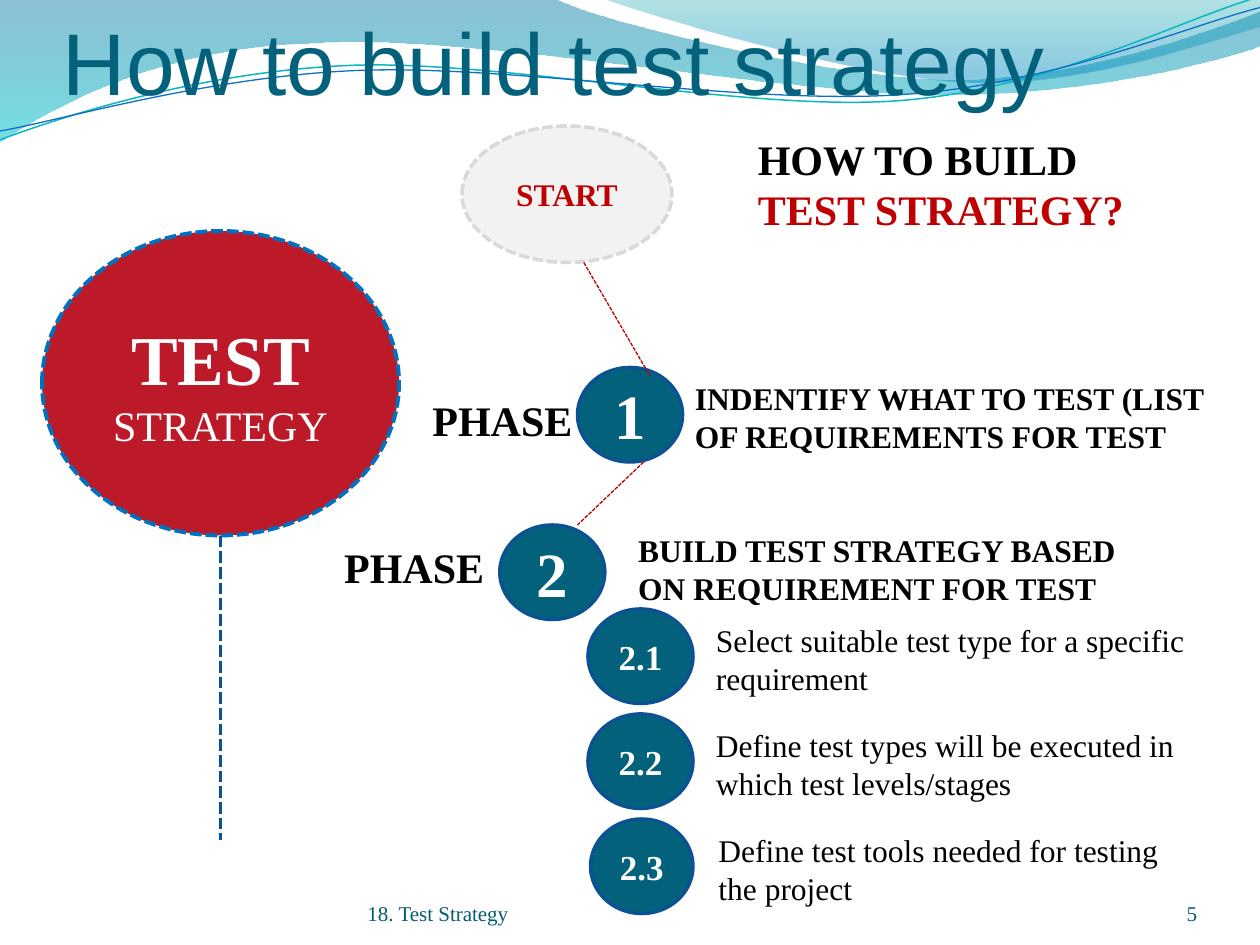
from pptx import Presentation
from pptx.dml.color import RGBColor
from pptx.enum.dml import MSO_LINE
from pptx.enum.shapes import MSO_CONNECTOR, MSO_SHAPE
from pptx.enum.text import MSO_ANCHOR, PP_ALIGN
from pptx.oxml.ns import qn
from pptx.util import Inches, Pt
from lxml import etree

DASH = MSO_LINE.SQUARE_DOT
OVAL = MSO_SHAPE.OVAL
STRAIGHT = MSO_CONNECTOR.STRAIGHT
TOP, MIDDLE, BOTTOM = MSO_ANCHOR.TOP, MSO_ANCHOR.MIDDLE, MSO_ANCHOR.BOTTOM
LEFT, CENTER, RIGHT = PP_ALIGN.LEFT, PP_ALIGN.CENTER, PP_ALIGN.RIGHT

COLUMNS, ROWS = 120, 90
CELL = Inches(1) / 12
BODY_FONT, TITLE_FONT = "Times New Roman", "Arial"
COLORS = {
    "teal": "04617B", "footer": "045D75", "navy": "0B5292", "stem": "095295",
    "red": "C00000", "crimson": "BC1A29", "blue": "0070C0", "black": "000000",
    "white": "FFFFFF", "pale": "F2F2F2", "silver": "D9D9D9",
    "wave_blue": "0074A1", "wave_cyan": "00C6CF", "wave_green": "00A1A9",
    "wave_sky": "008BBF", "thread_cyan": "0AB8BF", "thread_blue": "0F6FC6",
}
BROAD_WAVE = [
    [(0, 0)], [(4.4, -0.01)],
    [(4.76, 0.17), (6.64, 0.63), (7.58, 0.63)],
    [(8.53, 0.63), (9.58, 0.26), (10, 0.09)], [(10.01, 0.36)],
    [(9.83, 0.44), (8.7, 0.76), (7.46, 0.75)],
    [(6.22, 0.75), (3.82, 0.28), (2.57, 0.34)],
    [(1.29, 0.36), (0.46, 0.83), (-0.01, 1.13)], [(0, 0)],
]
RIGHT_WAVE = [
    [(4.79, -0.01)],
    [(5.09, 0.11), (6.82, 0.62), (7.69, 0.65)],
    [(8.56, 0.69), (9.61, 0.32), (10, 0.21)], [(10, 0)], [(4.79, -0.01)],
]
CYAN_THREAD = [
    [(0, 1.11)],
    [(0.48, 0.93), (1.58, 0.57), (2.77, 0.52)],
    [(3.95, 0.47), (5.93, 0.89), (7.13, 0.8)],
    [(8.33, 0.71), (9.38, 0.15), (9.98, -0.02)],
]
BLUE_THREAD = [
    [(0, 1.04)],
    [(0.47, 0.96), (1.64, 0.61), (2.83, 0.56)],
    [(4.03, 0.51), (5.97, 0.84), (7.17, 0.75)],
    [(8.36, 0.67), (9.41, 0.21), (10, 0.06)],
]
STEPS = [
    ("2.1", "Select suitable test type for a specific requirement", 0, 49),
    ("2.2", "Define test types will be executed in which test levels/stages", 0, 48.8),
    ("2.3", "Define test tools needed for testing the project", 0.25, 48),
]


def cells(*counts):
    """Turn grid counts into slide lengths."""
    return [round(count * CELL) for count in counts]


def rgb(name):
    """Look up a palette colour."""
    return RGBColor.from_string(COLORS[name])


def set_opacity(color_element, percent):
    """Give a colour element an opacity."""
    etree.SubElement(color_element, qn("a:alpha")).set("val", str(percent * 1000))


def style_line(line, color, width, dash=None):
    """Set the colour, width and dash of a line."""
    line.color.rgb = rgb(color)
    line.width = Pt(width)
    if dash is not None:
        line.dash_style = dash


def write(shape, runs, align=LEFT, anchor=TOP, font=BODY_FONT):
    """Fill a shape with one paragraph of (text, size, colour, bold) runs."""
    frame = shape.text_frame
    frame.word_wrap = True
    frame.vertical_anchor = anchor
    paragraph = frame.paragraphs[0]
    paragraph.alignment = align
    for text, size, color, bold in runs:
        run = paragraph.add_run()
        run.text = text
        run.font.name = font
        run.font.size = Pt(size)
        run.font.bold = bold
        run.font.color.rgb = rgb(color)


def add_label(slide, box, runs, margins=None, **layout):
    """Place a text box, with optional margins in inches."""
    shape = slide.shapes.add_textbox(*cells(*box))
    frame = shape.text_frame
    if margins:
        (frame.margin_left, frame.margin_top,
         frame.margin_right, frame.margin_bottom) = map(Inches, margins)
    write(shape, runs, **layout)


def add_oval(slide, box, runs, fill="teal", line=("navy", 2)):
    """Place an ellipse with centred text."""
    shape = slide.shapes.add_shape(OVAL, *cells(*box))
    shape.shadow.inherit = False
    shape.fill.solid()
    shape.fill.fore_color.rgb = rgb(fill)
    style_line(shape.line, *line)
    write(shape, runs, CENTER, MIDDLE)
    return shape


def add_dashes(slide, start, end, color="red", width=0.75):
    """Draw a dashed straight connector."""
    connector = slide.shapes.add_connector(STRAIGHT, *cells(*start, *end))
    style_line(connector.line, color, width, DASH)
    etree.SubElement(connector._element.spPr, qn("a:effectLst"))


def add_curve(slide, box, segments, closed):
    """Build a curve from tenths of the box width and shares of its height."""
    left, top, width, height = box
    points = [cells(left + x * width / 10, top + y * height)
              for segment in segments for x, y in segment]
    builder = slide.shapes.build_freeform(*points[0])
    builder.add_line_segments(points[1:], close=closed)
    shape = builder.convert_to_shape()
    shape.shadow.inherit = False
    outline = next(shape._element.iter(qn("a:path")))
    moves = iter(outline.findall(qn("a:lnTo")))
    for segment in segments[1:]:
        group = [next(moves) for _ in segment]
        if len(group) == 3:
            curve = etree.Element(qn("a:cubicBezTo"))
            group[0].addprevious(curve)
            for move in group:
                curve.append(move[0])
                outline.remove(move)
    return shape


def add_waves(slide, box):
    """Draw the translucent waves and the thin threads of the header."""
    for segments, stops in (
        (BROAD_WAVE, (("wave_blue", 0, 45), ("wave_cyan", 1, 55))),
        (RIGHT_WAVE, (("wave_green", 0, 30), ("wave_sky", 0.8, 45))),
    ):
        shape = add_curve(slide, box, segments, True)
        shape.line.fill.background()
        shape.fill.gradient()
        shape.fill.gradient_angle = 270
        for stop, (color, position, opacity) in zip(shape.fill.gradient_stops, stops):
            stop.color.rgb = rgb(color)
            stop.position = position
            set_opacity(stop._gs.find(qn("a:srgbClr")), opacity)
    for segments, color, width in ((CYAN_THREAD, "thread_cyan", 0.85),
                                   (BLUE_THREAD, "thread_blue", 0.75)):
        shape = add_curve(slide, box, segments, False)
        shape.fill.background()
        style_line(shape.line, color, width)


def add_footer(slide, box):
    """Place the chapter name and the page number."""
    left, top, width, height = box
    for text, offset, span, align in (("18. Test Strategy", 0, 44, LEFT),
                                      ("5", width - 10, 10, RIGHT)):
        add_label(slide, (left + offset, top, span, height),
                  [(text, 12, "footer", False)], (0, 0, 0, 0), align=align, anchor=BOTTOM)


def add_topic(slide, box):
    """Place the large topic circle with its dashed stem."""
    left, top, width, height = box
    add_oval(slide, box, [("TEST", 40, "white", True), (" ", 18, "white", False),
                          ("STRATEGY", 24, "white", False)],
             "crimson", ("blue", 2.25, DASH))
    middle, bottom = left + width / 2, top + height
    add_dashes(slide, (middle, bottom), (middle, bottom + height), "stem", 2.25)


def add_phase(slide, box, number, text, label_offset, text_box):
    """Place a numbered phase, its label to the left and its text to the right."""
    left, top, _, _ = box
    text_left, text_top, text_width = text_box
    add_oval(slide, box, [(number, 36, "white", True)])
    add_label(slide, (left + label_offset[0], top + label_offset[1], 16, 6),
              [("PHASE", 24, "black", True)])
    add_label(slide, (left + text_left, top + text_top, text_width, 8.5),
              [(text, 18, "black", True)])


def add_steps(slide, box):
    """Stack the numbered steps at equal pitch."""
    left, top, _, height = box
    pitch = height / len(STEPS)
    for index, (number, text, shift, text_width) in enumerate(STEPS):
        x, y = left + shift, top + index * pitch
        add_oval(slide, (x, y, 10 - shift, 9), [(number, 20, "white", True)])
        add_label(slide, (x + 11, y + 0.55, text_width, 8.5), [(text, 18, "black", False)])


def add_start(slide, box):
    """Place the dashed starting circle."""
    shape = add_oval(slide, box, [("START", 18, "red", True)], "pale", ("silver", 2, DASH))
    set_opacity(shape._element.spPr.find(qn("a:solidFill"))[0], 98)


def main():
    """Build and save the slide."""
    presentation = Presentation()
    presentation.slide_width, presentation.slide_height = cells(COLUMNS, ROWS)
    slide = presentation.slides.add_slide(presentation.slide_layouts[6])
    add_waves(slide, (0, 0, COLUMNS, 12))
    add_label(slide, (6, 0, 108, 10.8), [("How to build test strategy", 50, "teal", False)],
              (0, 0.05, 0, 0), anchor=BOTTOM, font=TITLE_FONT)
    add_footer(slide, (35, 83.4, 79, 4.8))
    add_label(slide, (71, 12.1, 43, 10.9), [("HOW TO BUILD", 24, "black", True),
                                            (" TEST STRATEGY?", 24, "red", True)])
    add_start(slide, (44, 12, 20, 13))
    add_phase(slide, (55, 35, 10, 9), "1",
              "INDENTIFY WHAT TO TEST (LIST OF REQUIREMENTS FOR TEST", (-15, 2), (10, 0.5, 51.6))
    add_phase(slide, (47.6, 50, 10, 9), "2",
              "BUILD TEST STRATEGY BASED ON REQUIREMENT FOR TEST", (-16, 1), (12, 0, 49))
    add_dashes(slide, (55.6, 25), (61.9, 35.8))
    add_dashes(slide, (61.3, 44), (55, 50))
    add_steps(slide, (56, 58, 60, 30))
    add_topic(slide, (4, 22, 34, 29))
    presentation.save("out.pptx")


if __name__ == "__main__":
    main()
